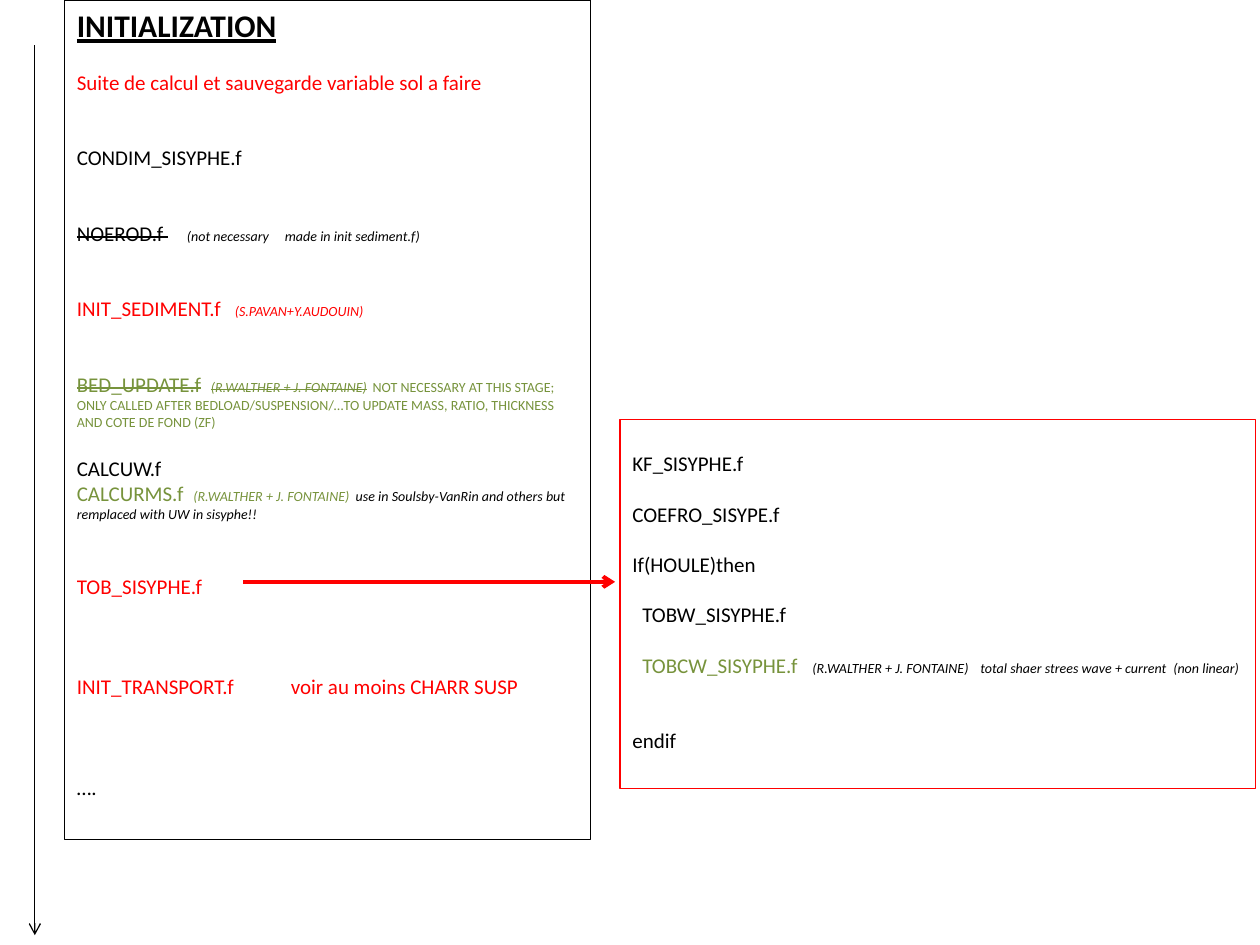
from lxml.etree import SubElement
from pptx import Presentation
from pptx.dml.color import RGBColor
from pptx.enum.shapes import MSO_CONNECTOR, MSO_SHAPE
from pptx.enum.text import MSO_ANCHOR, PP_ALIGN
from pptx.oxml.ns import qn
from pptx.util import Pt

BLACK = RGBColor(0x00, 0x00, 0x00)
RED = RGBColor(0xFF, 0x00, 0x00)
GREEN = RGBColor(0x77, 0x93, 0x3C)
LINE_HEIGHT = 14.4

# Text formats
PLAIN = {"size": Pt(12), "color": BLACK}
TITLE = {"size": Pt(18), "color": BLACK, "bold": True, "underline": True}
TODO = {**PLAIN, "color": RED}
SHARED = {**PLAIN, "color": GREEN}
NOTE = {"size": Pt(8), "color": BLACK, "italic": True}
TODO_NOTE = {**NOTE, "color": RED}
SHARED_NOTE = {**NOTE, "color": GREEN}
REMARK = {"size": Pt(8), "color": GREEN}
STRUCK = {"strike": "sngStrike"}

# Each paragraph: empty lines above, tab stops in points, runs
INITIALIZATION = [
    (0, [], [("INITIALIZATION", TITLE)]),
    (1, [], [("Suite de calcul et sauvegarde variable sol a faire", TODO)]),
    (2, [], [("CONDIM_SISYPHE.f", PLAIN)]),
    (2, [62.9, 118.9], [("NOEROD.f ", {**PLAIN, **STRUCK}),
                        ("\t(not necessary\tmade in init sediment.f)", NOTE)]),
    (2, [90.3], [("INIT_SEDIMENT.f\t", TODO), ("(S.PAVAN+Y.AUDOUIN)", TODO_NOTE)]),
    (2, [76.6, 169.1], [("BED_UPDATE.f\t", {**SHARED, **STRUCK}),
                        ("(R.WALTHER + J. FONTAINE)\t", {**SHARED_NOTE, **STRUCK}),
                        ("NOT NECESSARY AT THIS STAGE;", REMARK)]),
    (0, [], [("ONLY CALLED AFTER BEDLOAD/SUSPENSION/…TO UPDATE MASS, RATIO, "
              "THICKNESS AND COTE DE FOND (ZF)", REMARK)]),
    (1, [], [("CALCUW.f", PLAIN)]),
    (0, [66.6, 159.4], [("CALCURMS.f\t", SHARED),
                        ("(R.WALTHER + J. FONTAINE)\t", SHARED_NOTE),
                        ("use in Soulsby-VanRin and others but "
                         "remplaced with UW in sisyphe!!", NOTE)]),
    (2, [], [("TOB_SISYPHE.f", TODO)]),
    (3, [122.3], [("INIT_TRANSPORT.f\tvoir au moins CHARR SUSP", TODO)]),
    (3, [], [("….", PLAIN)]),
]
BED_SHEAR = [
    (0, [], [("KF_SISYPHE.f", PLAIN)]),
    (1, [], [("COEFRO_SISYPE.f", PLAIN)]),
    (1, [], [("If(HOULE)then", PLAIN)]),
    (1, [5.7], [("\tTOBW_SISYPHE.f", PLAIN)]),
    (1, [5.7, 102.9, 198.9, 309.1],
     [("\tTOBCW_SISYPHE.f\t", SHARED),
      ("(R.WALTHER + J. FONTAINE)\ttotal shaer strees wave + current\t(non linear)", NOTE)]),
    (2, [], [("endif", PLAIN)]),
]


def add_span(para, text, style):
    span = para.add_run()
    span.text = text
    span.font.name = "Calibri"
    for name, value in style.items():
        if name == "color":
            span.font.color.rgb = value
        elif name == "strike":
            span.font._element.set("strike", value)
        else:
            setattr(span.font, name, value)


def add_tab_stops(para, stops):
    tab_list = SubElement(para._p.get_or_add_pPr(), qn("a:tabLst"))
    for stop in stops:
        SubElement(tab_list, qn("a:tab"), pos=str(int(Pt(stop))), algn="l")


def add_routine_box(page, bounds, color, paragraphs, top_inset=3.6):
    box = page.shapes.add_shape(MSO_SHAPE.RECTANGLE, *map(Pt, bounds))
    box.shadow.inherit = False
    box.fill.background()
    box.line.color.rgb = color
    box.line.width = Pt(0.75)
    frame = box.text_frame
    frame_format = {"word_wrap": True, "vertical_anchor": MSO_ANCHOR.TOP,
                    "margin_left": Pt(7.2), "margin_right": Pt(7.2),
                    "margin_top": Pt(top_inset), "margin_bottom": Pt(3.6)}
    for name, value in frame_format.items():
        setattr(frame, name, value)
    for index, (empty_lines, stops, spans) in enumerate(paragraphs):
        para = frame.add_paragraph() if index else frame.paragraphs[0]
        para.alignment = PP_ALIGN.LEFT
        para.space_before = Pt(empty_lines * LINE_HEIGHT)
        if stops:
            add_tab_stops(para, stops)
        for text, style in spans:
            add_span(para, text, style)


def add_arrow(page, start, end, color, width):
    arrow = page.shapes.add_connector(MSO_CONNECTOR.STRAIGHT, *map(Pt, start + end))
    arrow.line.color.rgb = color
    arrow.line.width = Pt(width)
    SubElement(arrow.line._get_or_add_ln(), qn("a:tailEnd"), type="arrow")
    SubElement(arrow._element.spPr, qn("a:effectLst"))


deck = Presentation()
deck.slide_width, deck.slide_height = Pt(720), Pt(540)
page = deck.slides.add_slide(deck.slide_layouts[6])

# Initialization sequence and its time line
add_routine_box(page, (36.8, 0, 300.5, 479.6), BLACK, INITIALIZATION)
add_arrow(page, (19.9, 26), (19.9, 534.4), BLACK, 0.75)

# Detail of the bed shear routine
add_routine_box(page, (354.3, 239.6, 363, 211), RED, BED_SHEAR, top_inset=18)
add_arrow(page, (139, 332.5), (351.5, 332.5), RED, 2.25)

deck.save("out.pptx")
